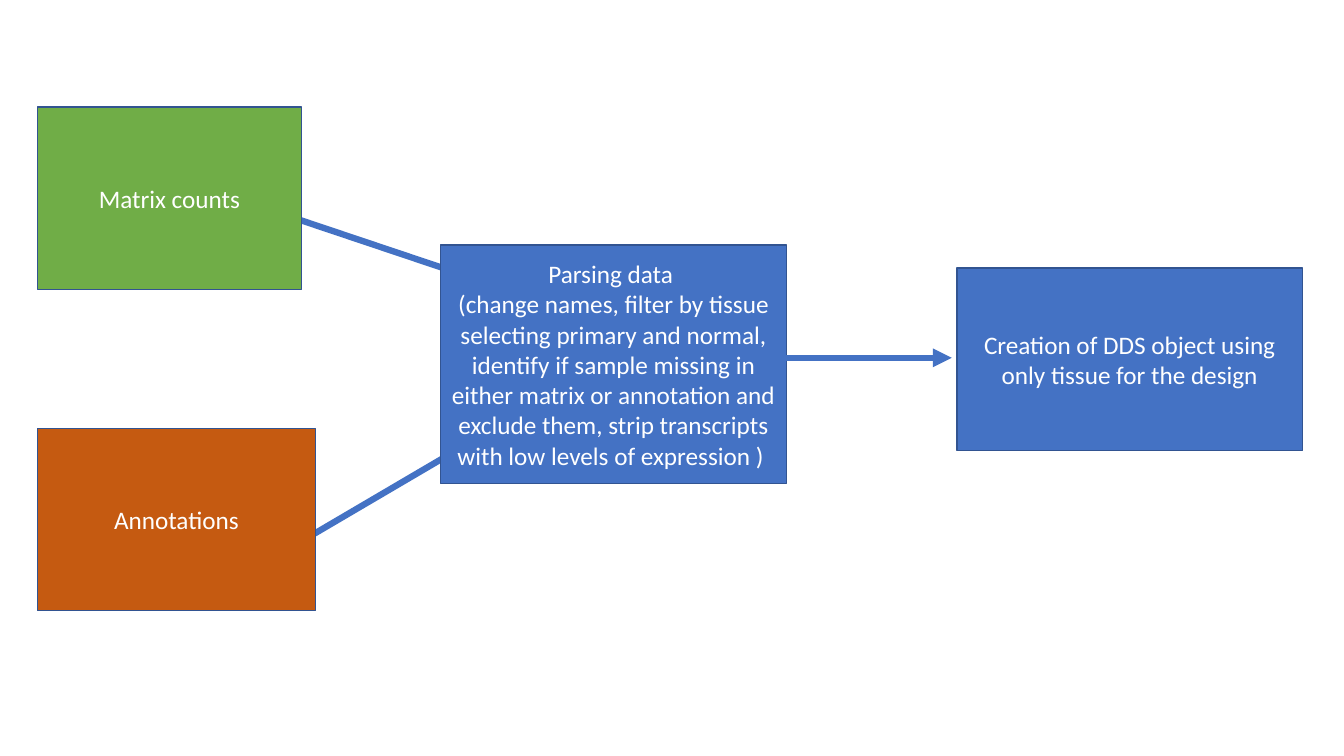
import pptx
import pptx.util
import pptx.dml.color
import pptx.enum.shapes
import pptx.enum.text
import pptx.oxml.ns
import lxml.etree

Inches = pptx.util.Inches
Pt = pptx.util.Pt
RGBColor = pptx.dml.color.RGBColor

BLUE = RGBColor(0x44, 0x72, 0xC4)
GREEN = RGBColor(0x70, 0xAD, 0x47)
ORANGE = RGBColor(0xC5, 0x5A, 0x11)
OUTLINE = RGBColor(0x32, 0x54, 0x91)
WHITE = RGBColor(0xFF, 0xFF, 0xFF)


class FlowSlide:
    font = "Calibri"
    size = Pt(18)

    def __init__(self, prs):
        self.s = prs.slides.add_slide(prs.slide_layouts[6])

    def box(self, left, top, width, height, fill, lines):
        sp = self.s.shapes.add_shape(
            pptx.enum.shapes.MSO_SHAPE.RECTANGLE,
            Inches(left), Inches(top), Inches(width), Inches(height))
        sp.shadow.inherit = False
        sp.fill.solid()
        sp.fill.fore_color.rgb = fill
        sp.line.color.rgb = OUTLINE
        sp.line.width = Pt(1)
        tf = sp.text_frame
        tf.word_wrap = True
        tf.vertical_anchor = pptx.enum.text.MSO_ANCHOR.MIDDLE
        p = tf.paragraphs[0]
        p.alignment = pptx.enum.text.PP_ALIGN.CENTER
        for i, line in enumerate(lines):
            if i:
                p.add_line_break()
            r = p.add_run()
            r.text = line
            r.font.name = self.font
            r.font.size = self.size
            r.font.color.rgb = WHITE

    def link(self, x1, y1, x2, y2, arrow=False):
        c = self.s.shapes.add_connector(
            pptx.enum.shapes.MSO_CONNECTOR.STRAIGHT,
            Inches(x1), Inches(y1), Inches(x2), Inches(y2))
        c.line.color.rgb = BLUE
        c.line.width = Pt(4.5)
        qn = pptx.oxml.ns.qn
        if arrow:
            ln = c.line._get_or_add_ln()
            lxml.etree.SubElement(ln, qn("a:tailEnd"), type="triangle")
        lxml.etree.SubElement(c._element.spPr, qn("a:effectLst"))


def main():
    prs = pptx.Presentation()
    prs.slide_width = Inches(13.33)
    prs.slide_height = Inches(7.5)
    flow = FlowSlide(prs)

    # Links from the inputs, tucked behind the boxes
    flow.link(2.82, 5.47, 4.71, 4.36)
    flow.link(2.82, 2.13, 5.35, 2.98)

    # Parsing step and its result
    flow.box(4.37, 2.43, 3.43, 2.37, BLUE, [
        "Parsing data ",
        "(change names, filter by tissue selecting primary and normal, "
        "identify if sample missing in either matrix or annotation and "
        "exclude them, strip transcripts with low levels of expression ) "])
    flow.link(7.52, 3.55, 9.44, 3.55, arrow=True)
    flow.box(9.49, 2.66, 3.43, 1.81, BLUE,
             ["Creation of DDS object using only tissue for the design"])

    # Inputs
    flow.box(0.37, 1.06, 2.62, 1.81, GREEN, ["Matrix counts"])
    flow.box(0.37, 4.25, 2.76, 1.81, ORANGE, ["Annotations"])

    prs.save("out.pptx")


if __name__ == "__main__":
    main()
